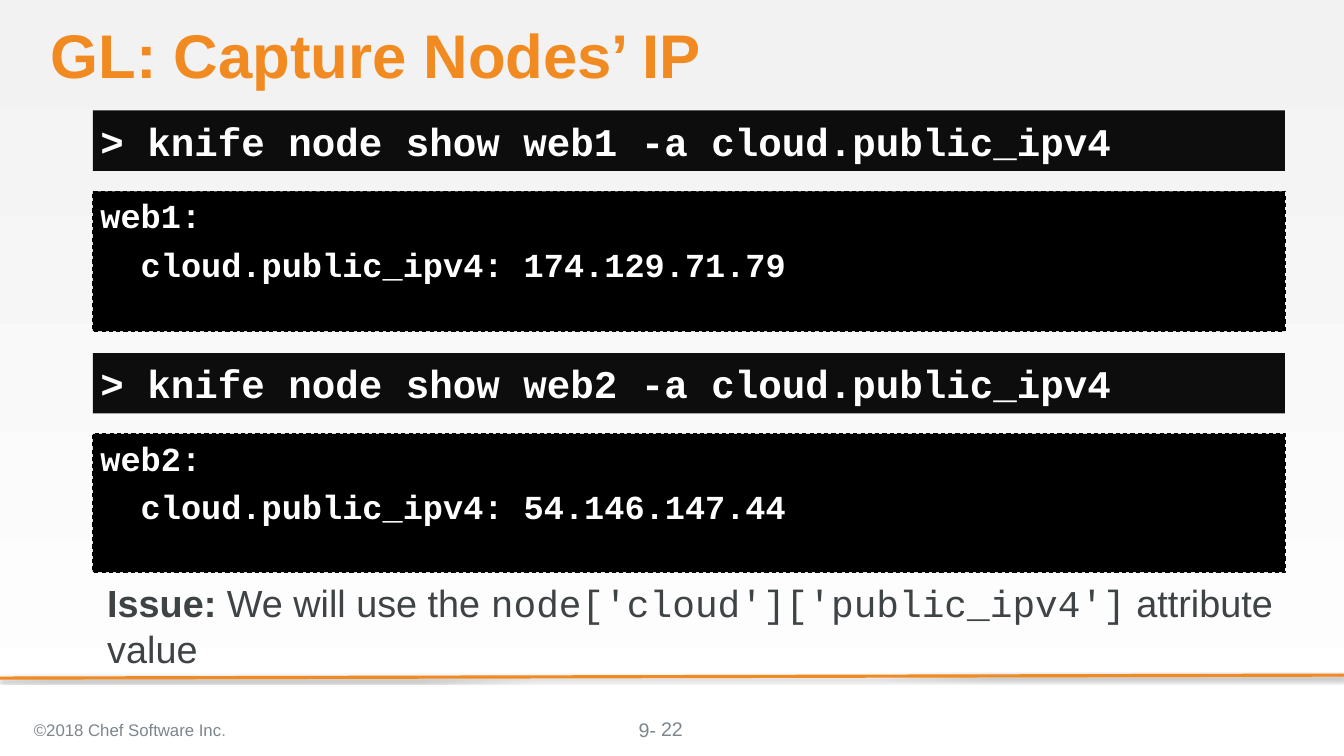
from typing import NamedTuple

from lxml import etree
from pptx import Presentation
from pptx.dml.color import RGBColor
from pptx.enum.dml import MSO_LINE
from pptx.enum.shapes import MSO_CONNECTOR, MSO_SHAPE
from pptx.enum.text import MSO_ANCHOR, PP_ALIGN
from pptx.oxml import parse_xml
from pptx.oxml.ns import nsdecls
from pptx.util import Inches, Pt

RECT = MSO_SHAPE.RECTANGLE
STRAIGHT = MSO_CONNECTOR.STRAIGHT
DASH = MSO_LINE.DASH
TOP, MIDDLE = MSO_ANCHOR.TOP, MSO_ANCHOR.MIDDLE
LEFT, CENTER = PP_ALIGN.LEFT, PP_ALIGN.CENTER

ORANGE = RGBColor(0xF1, 0x8B, 0x21)
BLACK = RGBColor(0, 0, 0)
NIGHT = RGBColor(0x0D, 0x0D, 0x0D)
WHITE = RGBColor(0xFF, 0xFF, 0xFF)
PALE = RGBColor(0xF2, 0xF2, 0xF2)
INK = RGBColor(0x3E, 0x43, 0x46)
GRAY = RGBColor(0x7D, 0x86, 0x8C)
DUST = RGBColor(0x92, 0x94, 0x94)
SANS, MONO = "Arial", "Courier New"
PAD = (0.1, 0.05, 0.1, 0.05)
FLUSH = (0, 0, 0, 0)


class Run(NamedTuple):
    text: str
    bold: bool = False
    font: str = SANS
    color: RGBColor = GRAY


class Box(NamedTuple):
    left: float
    top: float
    width: float
    height: float


class Demo(NamedTuple):
    node: str
    ip: str
    top: float        # top of the command bar
    out_top: float    # top of the output panel
    out_height: float


DEMOS = (
    Demo("web1", "174.129.71.79", 1.46, 2.53, 1.85),
    Demo("web2", "54.146.147.44", 4.67, 5.74, 1.83),
)


def write(shape, lines: list[list[Run]], *, size: float, pad=PAD, anchor=TOP,
          align=LEFT, gap: float = 0, spacing: float = 1.0) -> None:
    frame = shape.text_frame
    frame.word_wrap = True
    frame.vertical_anchor = anchor
    (frame.margin_left, frame.margin_top,
     frame.margin_right, frame.margin_bottom) = map(Inches, pad)
    for i, runs in enumerate(lines):
        para = frame.add_paragraph() if i else frame.paragraphs[0]
        para.alignment = align
        para.line_spacing = spacing
        if i:
            para.space_before = Pt(gap)
        for item in runs:
            run = para.add_run()
            run.text = item.text
            run.font.name = item.font
            run.font.size = Pt(size)
            run.font.bold = item.bold
            run.font.color.rgb = item.color


def add_label(slide, box: Box, runs: list[Run], **style) -> None:
    write(slide.shapes.add_textbox(*map(Inches, box)), [runs], **style)


def add_panel(slide, box: Box, fill: RGBColor, dashed: bool = False):
    panel = slide.shapes.add_shape(RECT, *map(Inches, box))
    panel.shadow.inherit = False
    panel.fill.solid()
    panel.fill.fore_color.rgb = fill
    if dashed:
        panel.line.color.rgb = BLACK
        panel.line.width = Pt(1)
        panel.line.dash_style = DASH
    else:
        panel.line.fill.background()
    return panel


def add_demo(slide, demo: Demo) -> None:
    out = add_panel(slide, Box(1.23, demo.out_top, 15.77, demo.out_height),
                    BLACK, dashed=True)
    texts = (f"{demo.node}:", f"  cloud.public_ipv4: {demo.ip}")
    write(out, [[Run(text, True, MONO, WHITE)] for text in texts],
          size=32, gap=8)
    bar = add_panel(slide, Box(1.23, demo.top, 15.77, 0.8), NIGHT)
    prompt = f"> knife node show {demo.node} -a cloud.public_ipv4"
    write(bar, [[Run(prompt, True, MONO, WHITE)]], size=37.3,
          pad=(0.1, 0, 0, 0), anchor=MIDDLE)


def add_rule(slide) -> None:
    rule = slide.shapes.add_connector(STRAIGHT, Inches(17.78), Inches(8.93),
                                      Inches(0), Inches(8.97))
    rule.line.color.rgb = ORANGE
    rule.line.width = Pt(3)
    effects = parse_xml(f"<a:effectLst {nsdecls('a')}/>")
    shade = etree.SubElement(
        effects, f"{{{effects.nsmap['a']}}}outerShdw", blurRad=str(Pt(3.1)),
        dist=str(Pt(1.8)), dir="5400000", rotWithShape="0")
    color = etree.SubElement(shade, f"{{{effects.nsmap['a']}}}srgbClr",
                             val="000000")
    etree.SubElement(color, f"{{{effects.nsmap['a']}}}alpha", val="35000")
    rule._element.spPr.append(effects)


def set_back(slide) -> None:
    fill = slide.background.fill
    fill.gradient()
    fill.gradient_angle = 270
    for stop, color, place in zip(fill.gradient_stops, (PALE, WHITE), (0, 1)):
        stop.color.rgb = color
        stop.position = place


def main() -> None:
    deck = Presentation()
    deck.slide_width, deck.slide_height = Inches(17.78), Inches(10)
    slide = deck.slides.add_slide(deck.slide_layouts[6])
    set_back(slide)
    add_rule(slide)

    # Title
    add_label(slide, Box(0.67, 0.33, 16.33, 0.91),
              [Run("GL: Capture Nodes’ IP", True, color=ORANGE)],
              size=58.7, pad=FLUSH, spacing=0.9)

    # Commands with their output
    for demo in DEMOS:
        add_demo(slide, demo)

    # Closing remark
    add_label(slide, Box(1.32, 7.73, 15.69, 1.08), [
        Run("Issue: ", True, color=INK),
        Run("We will use the ", color=INK),
        Run("node['cloud']['public_ipv4']", font=MONO, color=INK),
        Run(" attribute value", color=INK),
    ], size=36, anchor=MIDDLE)

    # Footer
    add_label(slide, Box(0.35, 9.38, 6.21, 0.56),
              [Run("©2018 Chef Software Inc"), Run(".", color=DUST)],
              size=16, anchor=MIDDLE)
    add_label(slide, Box(8.45, 9.49, 0.69, 0.31), [Run("9-")],
              size=18.7, pad=FLUSH)
    add_label(slide, Box(6.89, 9.38, 4, 0.53), [Run("22")],
              size=18.7, anchor=MIDDLE, align=CENTER)

    deck.save("out.pptx")


if __name__ == "__main__":
    main()
